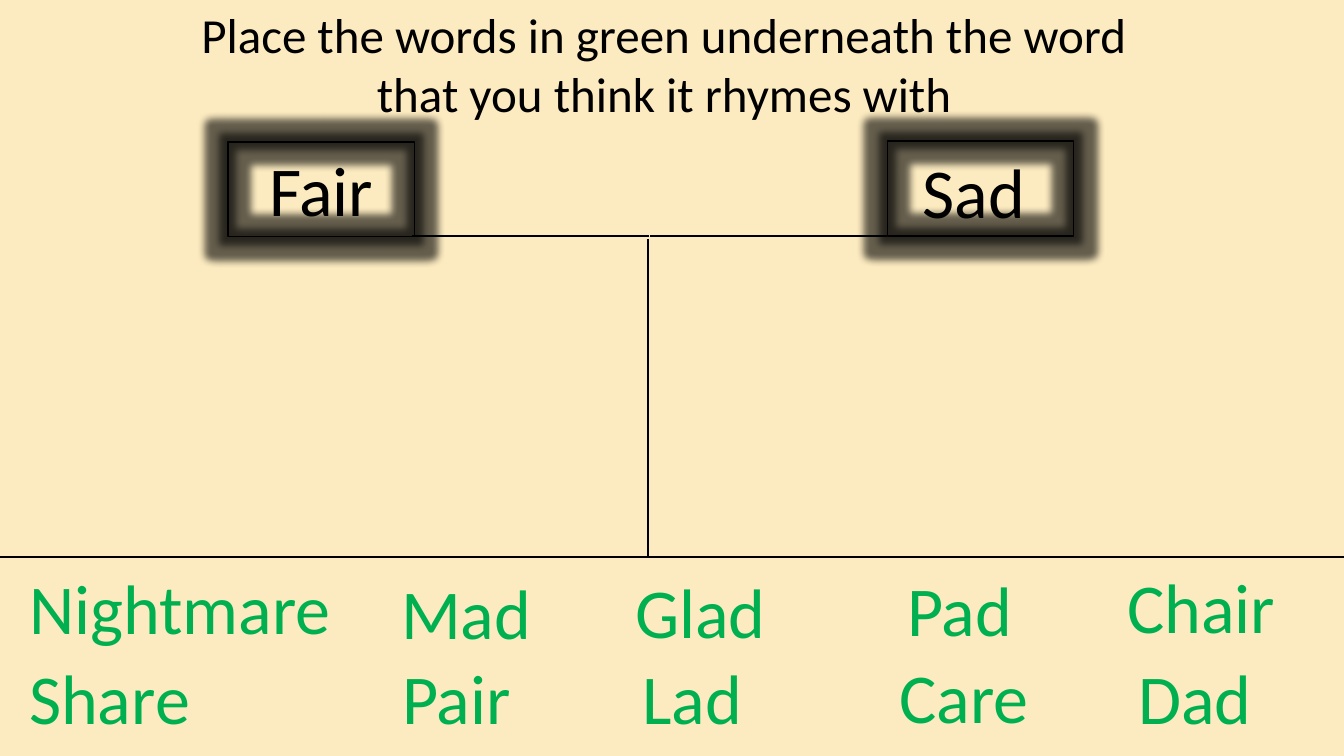
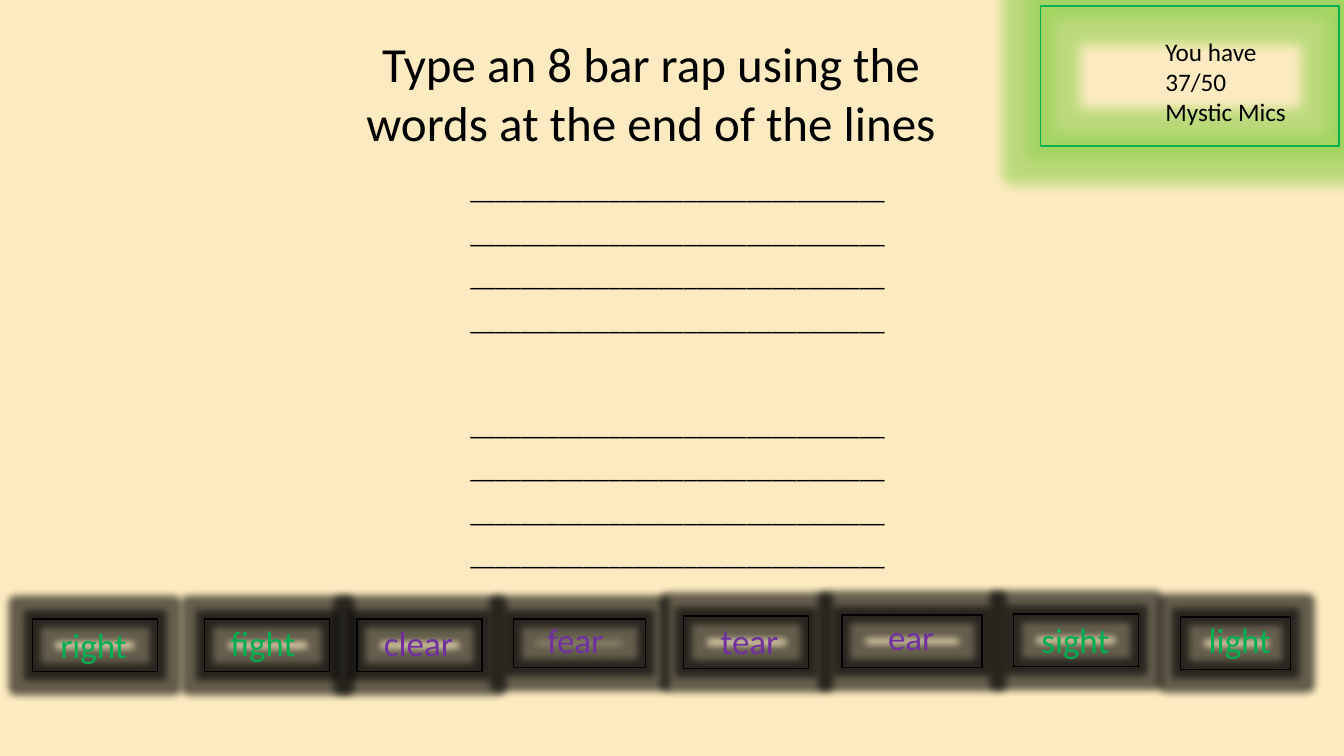
from lxml import etree
from pptx import Presentation
from pptx.dml.color import RGBColor
from pptx.enum import shapes, text
from pptx.oxml.ns import qn
from pptx.util import Inches, Pt

CREAM = RGBColor(0xFC, 0xEB, 0xC0)
BLACK = RGBColor(0, 0, 0)
GREEN = RGBColor(0x00, 0xB0, 0x50)
PURPLE = RGBColor(0x70, 0x30, 0xA0)
LIME = RGBColor(0x92, 0xD0, 0x50)
FONT = "Calibri"
TITLE_SIZE, WORD_SIZE, TAG_SIZE, BODY_SIZE = 35, 50, 25, 18

# Rhyme sorting: each word with its left, top and width
SORT_TITLE = "Place the words in green underneath the word that you think it rhymes with"
WORD_HEIGHT = 0.94
HEADINGS = [("Fair", 2.57, 1.4, 1.59), ("Sad", 9.05, 1.42, 1.73)]
HEADING_FRAMES = [(2.26, 1.41), (8.8, 1.4)]
HEADING_WIDTH = 1.85
RHYMES = [
    ("Nightmare", 0.19, 5.55, 3.38), ("Mad", 3.88, 5.6, 1.66),
    ("Glad", 6.2, 5.59, 1.92), ("Pad", 8.9, 5.57, 1.41),
    ("Chair", 11.08, 5.54, 1.67),
    ("Share", 0.19, 6.44, 1.97), ("Pair", 3.89, 6.44, 1.45),
    ("Lad", 6.27, 6.44, 1.56), ("Care", 8.82, 6.43, 1.65),
    ("Dad", 11.19, 6.44, 1.5),
]
RULES = [
    (0, 5.53, 13.33, 5.53), (6.43, 2.37, 6.43, 5.53),
    (8.8, 2.34, 6.45, 2.34), (6.44, 2.34, 4.09, 2.34),
]

# Rap writing: each line ending with its colour, text box and frame
RAP_TITLE = "Type an 8 bar rap using the words at the end of the lines"
SCORE = ["You have", "37/50", "Mystic Mics"]
BLANK_LINE = "_" * 33
VERSES, BARS = 2, 4
TAG_HEIGHT = 0.52
LINE_ENDINGS = [
    ("right", GREEN, (0.5, 6.14, 0.87), (0.32, 6.14, 1.24, 0.52)),
    ("fight", GREEN, (2.19, 6.12, 0.85), (2.03, 6.14, 1.24, 0.52)),
    ("clear", PURPLE, (3.71, 6.12, 0.9), (3.54, 6.14, 1.24, 0.52)),
    ("fear", PURPLE, (5.33, 6.09, 0.81), (5.09, 6.14, 1.31, 0.48)),
    ("tear", PURPLE, (7.05, 6.1, 0.78), (6.78, 6.11, 1.24, 0.52)),
    ("ear", PURPLE, (8.71, 6.06, 0.67), (8.35, 6.1, 1.39, 0.52)),
    ("sight", GREEN, (10.23, 6.09, 0.88), (10.05, 6.09, 1.24, 0.52)),
    ("light", GREEN, (11.89, 6.09, 0.83), (11.71, 6.12, 1.09, 0.52)),
]


def add_text(slide, lines, place, size, colour=BLACK, centred=False):
    box = slide.shapes.add_textbox(*map(Inches, place))
    frame = box.text_frame
    frame.word_wrap = True
    frame.auto_size = text.MSO_AUTO_SIZE.SHAPE_TO_FIT_TEXT
    for i, line in enumerate(lines):
        paragraph = frame.add_paragraph() if i else frame.paragraphs[0]
        if centred:
            paragraph.alignment = text.PP_ALIGN.CENTER
        run = paragraph.add_run()
        run.text = line
        run.font.name = FONT
        run.font.size = Pt(size)
        run.font.color.rgb = colour
    return frame.paragraphs


def add_glow_frame(slide, place, line=BLACK, glow=BLACK, radius=11):
    frame = slide.shapes.add_shape(shapes.MSO_SHAPE.RECTANGLE, *map(Inches, place))
    frame.fill.background()
    frame.line.color.rgb = line
    frame.line.width = Pt(1)
    frame.shadow.inherit = False
    effects = frame._element.spPr.find(qn("a:effectLst"))
    halo = etree.SubElement(effects, qn("a:glow"), rad=str(Pt(radius)))
    colour = etree.SubElement(halo, qn("a:srgbClr"), val=str(glow))
    etree.SubElement(colour, qn("a:alpha"), val="60000")


def add_rule(slide, ends):
    rule = slide.shapes.add_connector(shapes.MSO_CONNECTOR.STRAIGHT, *map(Inches, ends))
    rule.line.color.rgb = BLACK
    rule.line.width = Pt(1.5)
    etree.SubElement(rule._element.spPr, qn("a:effectLst"))


def build_sorting(slide):
    add_text(slide, [SORT_TITLE], (1.88, 0, 9.42, 1.28), TITLE_SIZE, centred=True)
    for words, colour in ((RHYMES, GREEN), (HEADINGS, BLACK)):
        for word, left, top, width in words:
            add_text(slide, [word], (left, top, width, WORD_HEIGHT), WORD_SIZE, colour)
    for left, top in HEADING_FRAMES:
        add_glow_frame(slide, (left, top, HEADING_WIDTH, WORD_HEIGHT))
    for ends in RULES:
        add_rule(slide, ends)


def build_rap(slide):
    # Score and title
    add_glow_frame(slide, (10.32, 0.06, 2.96, 1.39), GREEN, LIME, 18)
    add_text(slide, SCORE, (11.46, 0.31, 1.66, 1.01), BODY_SIZE)
    add_text(slide, [RAP_TITLE], (3.16, 0.28, 6.6, 1.28), TITLE_SIZE, centred=True)
    # Line endings
    for word, colour, place, frame in LINE_ENDINGS:
        add_glow_frame(slide, frame)
        add_text(slide, [word], (*place, TAG_HEIGHT), TAG_SIZE, colour)
    # Writing lines, with a gap between the verses
    bars = add_text(slide, [BLANK_LINE] * (VERSES * BARS), (3.36, 1.66, 6.72, 4.08),
                    BODY_SIZE, centred=True)
    for i, bar in enumerate(bars):
        bar.line_spacing = 1.07
        bar.space_after = Pt(8)
        if i and i % BARS == 0:
            bar.space_before = Pt(44)


def main():
    prs = Presentation()
    prs.slide_width, prs.slide_height = Inches(13.33), Inches(7.5)
    background = prs.slide_master.background.fill
    background.solid()
    background.fore_color.rgb = CREAM
    for build in (build_sorting, build_rap):
        build(prs.slides.add_slide(prs.slide_layouts[6]))
    prs.save("out.pptx")


if __name__ == "__main__":
    main()
